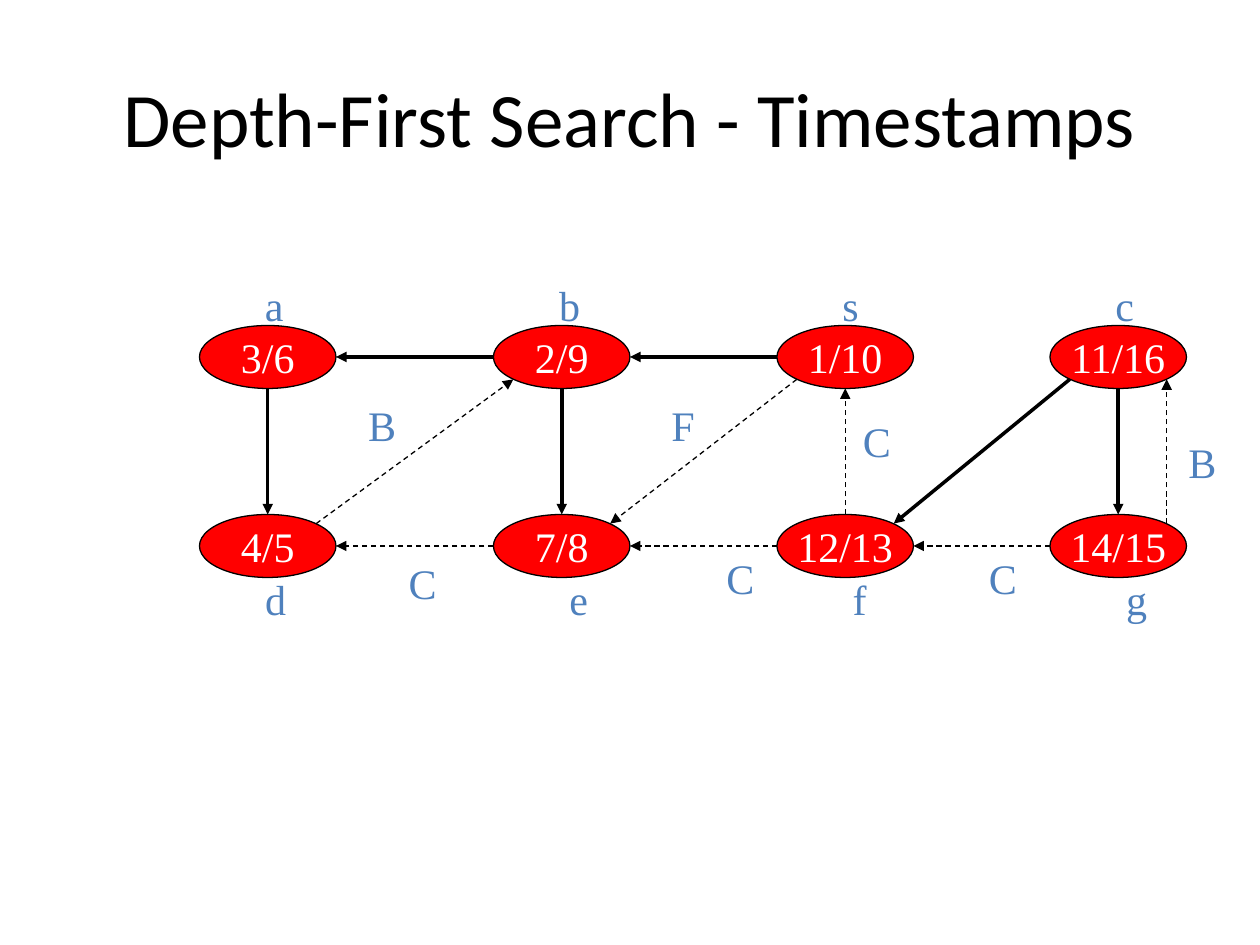
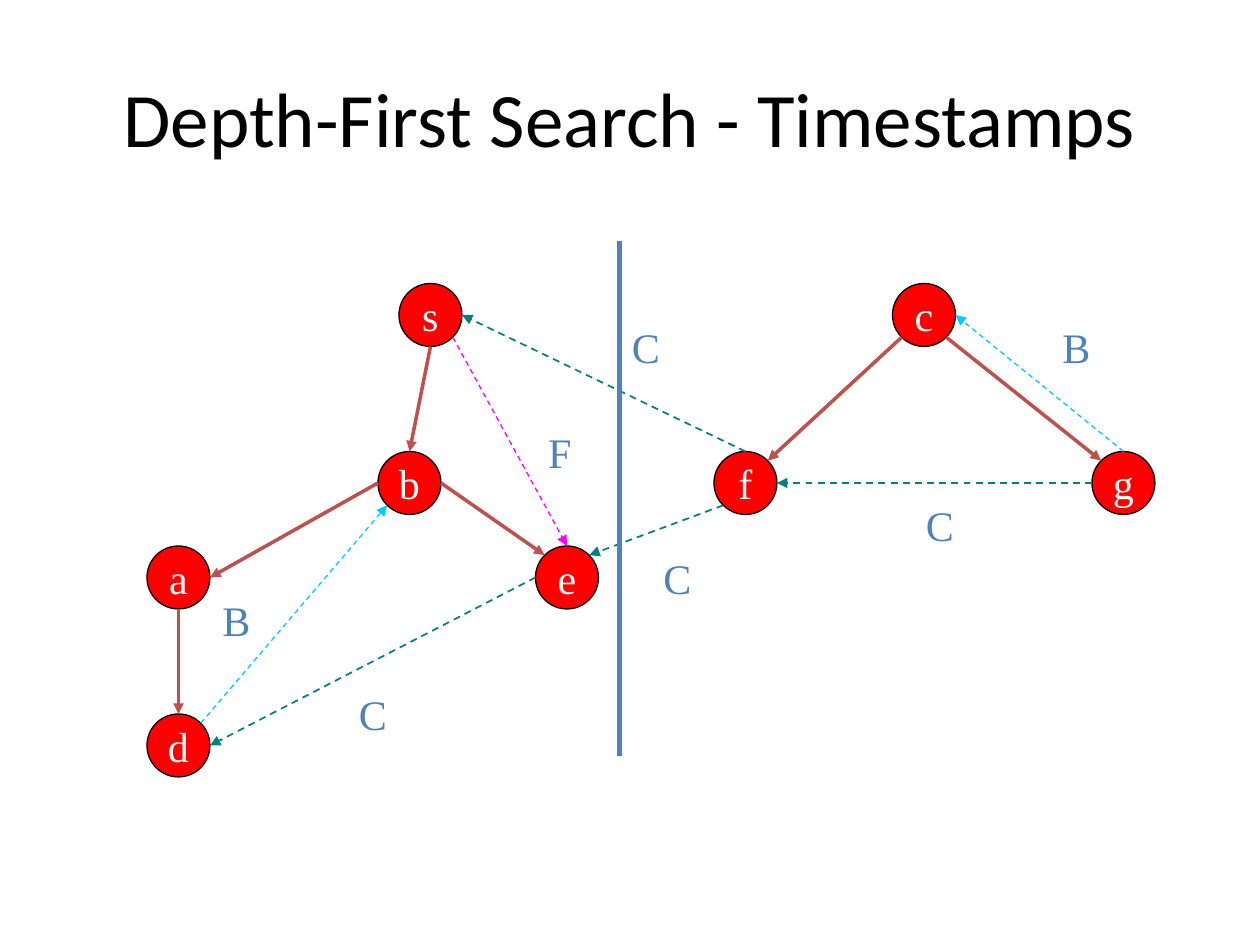
from lxml.etree import SubElement
from pptx import Presentation
from pptx.dml.color import RGBColor
from pptx.enum.dml import MSO_LINE
from pptx.enum.shapes import MSO_CONNECTOR, MSO_SHAPE
from pptx.enum.text import MSO_ANCHOR, MSO_AUTO_SIZE, PP_ALIGN
from pptx.oxml.ns import qn
from pptx.util import Pt

PX = 9525
COLORS = {
    "black": "000000", "white": "FFFFFF", "node": "FF0000", "label": "4F81BD",
    "tree": "C0504D", "cross": "008080", "back": "00CCFF", "forward": "FF00FF",
}
TITLE = "Depth-First Search - Timestamps"
DIAGONAL = 0.71
SIDES = {
    "top": (0, -1), "bottom": (0, 1), "left": (-1, 0), "right": (1, 0),
    "top left": (-DIAGONAL, -DIAGONAL), "top right": (DIAGONAL, -DIAGONAL),
    "bottom left": (-DIAGONAL, DIAGONAL), "bottom right": (DIAGONAL, DIAGONAL),
}
LABEL_WIDTHS = {"a": 34, "b": 36, "c": 34, "d": 36, "e": 34, "f": 30,
                "g": 36, "s": 32, "B": 40, "C": 40, "F": 37}
COLUMNS = [152, 376, 592, 800]
ROWS = [248, 392]
TIMES = [["3/6", "2/9", "1/10", "11/16"], ["4/5", "7/8", "12/13", "14/15"]]
NAMES = ["absc", "defg"]

timestamp_graph = {
    "node size": (104, 48),
    "nodes": {
        name: (text, left, top)
        for names, texts, top in zip(NAMES, TIMES, ROWS)
        for name, text, left in zip(names, texts, COLUMNS)
    },
    "styles": {"tree": ("black", 2, False), "other": ("black", 0.75, True)},
    "edges": [
        ("b", "left", "a", "right", "tree"),
        ("s", "left", "b", "right", "tree"),
        ("a", "bottom", "d", "top", "tree"),
        ("b", "bottom", "e", "top", "tree"),
        ("c", "bottom", "g", "top", "tree"),
        ("c", "bottom left", "f", "top right", "tree"),
        ("e", "left", "d", "right", "other"),
        ("f", "left", "e", "right", "other"),
        ("g", "left", "f", "right", "other"),
        ("d", "top right", "b", "bottom left", "other"),
        ("s", "bottom left", "e", "top right", "other"),
        ("f", "top", "s", "bottom", "other"),
        ("g", "top right", "c", "bottom right", "other"),
    ],
    "labels": [
        ("a", 192, 208), ("b", 416, 208), ("s", 632, 208), ("c", 840, 208),
        ("d", 192, 432), ("e", 424, 432), ("f", 640, 432), ("g", 848, 432),
        ("B", 271, 300), ("F", 502, 300), ("C", 648, 312), ("B", 896, 328),
        ("C", 302, 420), ("C", 544, 416), ("C", 744, 416),
    ],
    "dividers": [],
}
forest_graph = {
    "node size": (48, 48),
    "nodes": {
        "a": ("a", 112, 416), "e": ("e", 408, 416), "s": ("s", 304, 216),
        "b": ("b", 288, 344), "f": ("f", 544, 344), "d": ("d", 112, 544),
        "c": ("c", 680, 216), "g": ("g", 832, 344),
    },
    "styles": {
        "tree": ("tree", 2, False), "cross": ("cross", 1, True),
        "back": ("back", 0.75, True), "forward": ("forward", 0.75, True),
    },
    "edges": [
        ("s", "bottom", "b", "top", "tree"),
        ("b", "left", "a", "right", "tree"),
        ("b", "right", "e", "top left", "tree"),
        ("a", "bottom", "d", "top", "tree"),
        ("c", "bottom left", "f", "top right", "tree"),
        ("c", "bottom right", "g", "top left", "tree"),
        ("e", "left", "d", "right", "cross"),
        ("f", "bottom left", "e", "top right", "cross"),
        ("f", "top", "s", "right", "cross"),
        ("g", "left", "f", "right", "cross"),
        ("d", "top right", "b", "bottom left", "back"),
        ("g", "top", "c", "right", "back"),
        ("s", "bottom right", "e", "top", "forward"),
    ],
    "labels": [
        ("B", 800, 240), ("F", 408, 320), ("C", 264, 520), ("C", 696, 376),
        ("C", 496, 416), ("C", 472, 240), ("B", 160, 448),
    ],
    "dividers": [(472, 184, 576)],
}


def write(box, text, color, font, size, frame_format):
    frame = box.text_frame
    for name, value in frame_format.items():
        setattr(frame, name, value)
    para = frame.paragraphs[0]
    para.alignment = PP_ALIGN.CENTER
    span = para.add_run()
    span.text = text
    for name, value in {"name": font, "size": Pt(size)}.items():
        setattr(span.font, name, value)
    span.font.color.rgb = RGBColor.from_string(COLORS[color])


def draw_line(page, start, end, color, width, dashed=False, arrow=False):
    points = [round(value * PX) for value in (*start, *end)]
    line = page.shapes.add_connector(MSO_CONNECTOR.STRAIGHT, *points)
    line.line.color.rgb = RGBColor.from_string(COLORS[color])
    line.line.width = Pt(width)
    if dashed:
        line.line.dash_style = MSO_LINE.DASH
    properties = line._element.spPr
    if arrow:
        SubElement(properties.find(qn("a:ln")), qn("a:tailEnd"), type="triangle")
    SubElement(properties, qn("a:effectLst"))


deck = Presentation()
deck.slide_width, deck.slide_height = 960 * PX, 720 * PX
title_format = {"word_wrap": True, "vertical_anchor": MSO_ANCHOR.MIDDLE}
node_format = {"word_wrap": False, "vertical_anchor": MSO_ANCHOR.MIDDLE}
label_format = {"word_wrap": False, "auto_size": MSO_AUTO_SIZE.SHAPE_TO_FIT_TEXT}

for graph in (timestamp_graph, forest_graph):
    page = deck.slides.add_slide(deck.slide_layouts[6])
    title = page.shapes.add_textbox(48 * PX, 29 * PX, 864 * PX, 120 * PX)
    write(title, TITLE, "black", "Calibri", 44, title_format)

    width, height = graph["node size"]
    for text, left, top in graph["nodes"].values():
        node = page.shapes.add_shape(
            MSO_SHAPE.FLOWCHART_CONNECTOR, left * PX, top * PX, width * PX, height * PX)
        node.shadow.inherit = False
        node.fill.solid()
        node.fill.fore_color.rgb = RGBColor.from_string(COLORS["node"])
        node.line.color.rgb = RGBColor.from_string(COLORS["black"])
        node.line.width = Pt(0.75)
        write(node, text, "white", "Times New Roman", 24, node_format)

    for source, source_side, target, target_side, kind in graph["edges"]:
        ends = []
        for name, side in ((source, source_side), (target, target_side)):
            text, left, top = graph["nodes"][name]
            across, down = SIDES[side]
            ends.append((left + width / 2 * (1 + across), top + height / 2 * (1 + down)))
        draw_line(page, *ends, *graph["styles"][kind], arrow=True)

    for text, left, top in graph["labels"]:
        label = page.shapes.add_textbox(
            left * PX, top * PX, LABEL_WIDTHS[text] * PX, 48 * PX)
        write(label, text, "label", "Times New Roman", 24, label_format)

    for left, top, bottom in graph["dividers"]:
        draw_line(page, (left, top), (left, bottom), "label", 3)

deck.save("out.pptx")
